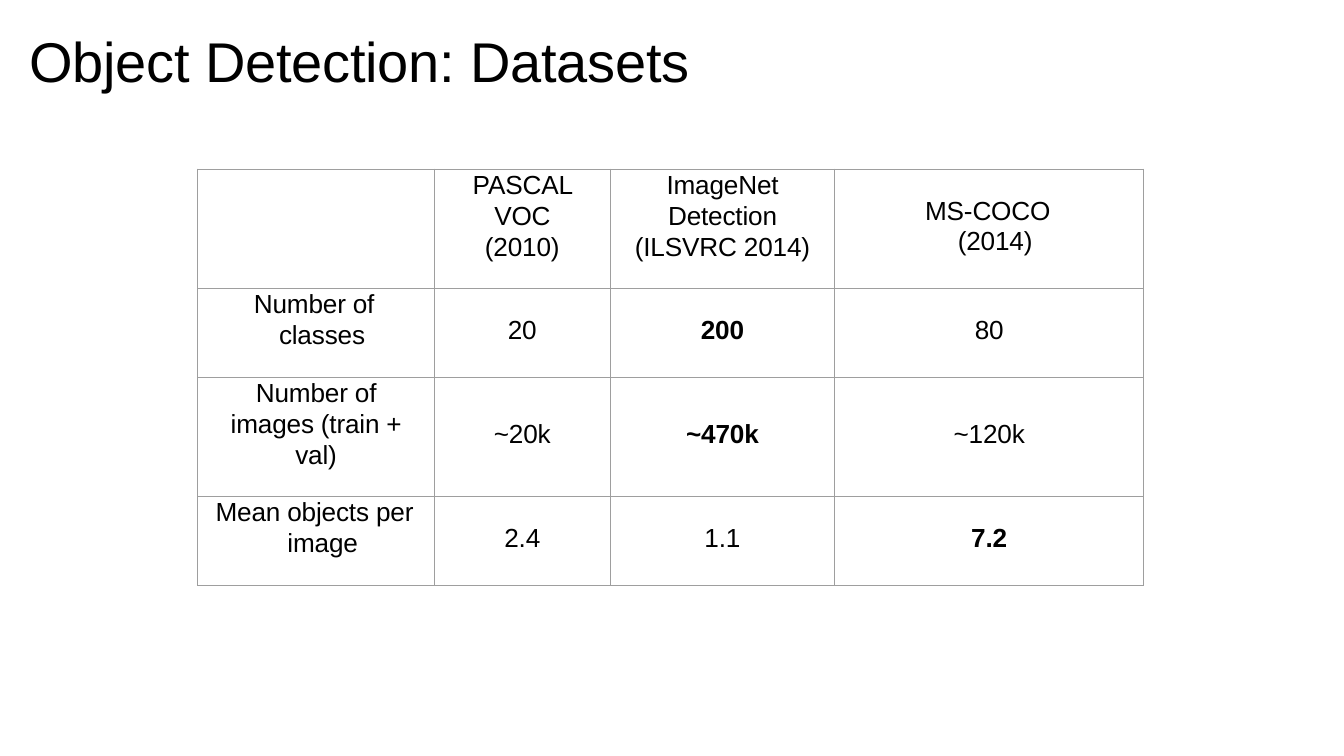
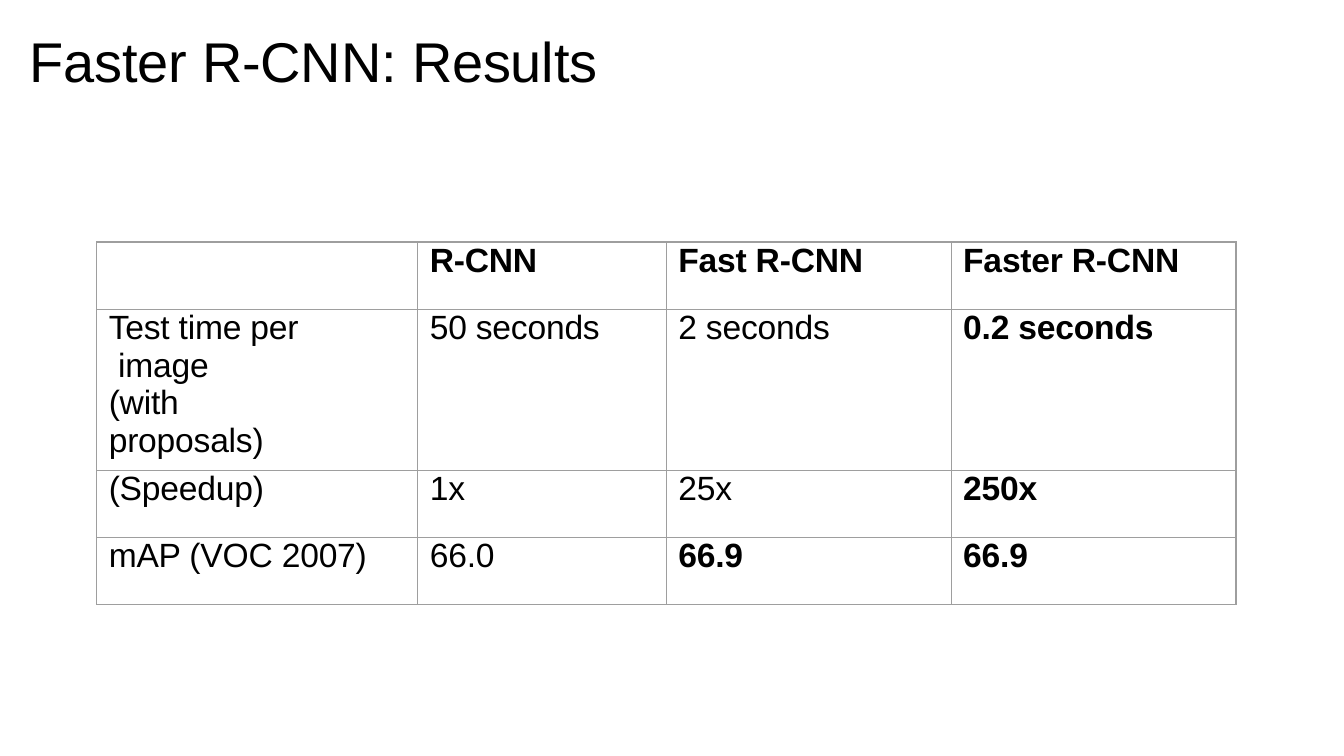
from lxml import etree
from pptx import Presentation
from pptx.dml.color import RGBColor
from pptx.enum import text
from pptx.oxml import ns
from pptx.util import Pt

BLACK = RGBColor(0x00, 0x00, 0x00)
GRID = RGBColor(0x9E, 0x9E, 0x9E)
FONT = "Arial"
TITLE_BOX = (15, 11, 690, 73)
LEFT, CENTER = text.PP_ALIGN.LEFT, text.PP_ALIGN.CENTER
TOP, MIDDLE = text.MSO_ANCHOR.TOP, text.MSO_ANCHOR.MIDDLE

DATASETS = [
    ["", "PASCAL VOC (2010)", "ImageNet Detection (ILSVRC 2014)", "MS-COCO (2014)"],
    ["Number of classes", "20", "200", "80"],
    ["Number of images (train + val)", "~20k", "~470k", "~120k"],
    ["Mean objects per image", "2.4", "1.1", "7.2"],
]
DATASET_STYLE = dict(size=14, align=CENTER, anchor=MIDDLE, bottom=3.5, spacing=16.5)
DATASET_CELLS = {
    (0, 1): dict(anchor=TOP, left=19, right=19),
    (0, 2): dict(anchor=TOP, left=10, right=10),
    (0, 3): dict(align=LEFT, left=48.5, right=48, hang=17.5),
    (1, 0): dict(align=LEFT, anchor=TOP, left=30, hang=13.5),
    (2, 0): dict(anchor=TOP, left=14, right=14),
    (3, 0): dict(align=LEFT, anchor=TOP, left=9.5, hang=38.5),
    (1, 2): dict(bold=True),
    (2, 2): dict(bold=True),
    (3, 3): dict(bold=True),
}

RESULTS = [
    ["", "R-CNN", "Fast R-CNN", "Faster R-CNN"],
    ["Test time per image\n(with proposals)", "50 seconds", "2 seconds", "0.2 seconds"],
    ["(Speedup)", "1x", "25x", "250x"],
    ["mAP (VOC 2007)", "66.0", "66.9", "66.9"],
]
RESULT_STYLE = dict(size=18, left=6.5, bottom=5.7)
RESULT_BOLD = [(0, 1), (0, 2), (0, 3), (1, 3), (2, 3), (3, 2), (3, 3)]
RESULT_CELLS = {(1, 0): dict(right=52, hang=5)}
RESULT_CELLS.update({spot: dict(bold=True) for spot in RESULT_BOLD})


def set_all(obj, values):
    """Set the attributes of an object from a dict."""
    for name, value in values.items():
        setattr(obj, name, value)


def write(p, words, size, bold=False):
    """Add one formatted run to a paragraph."""
    r = p.add_run()
    r.text = words
    set_all(r.font, dict(name=FONT, size=Pt(size), bold=bold))
    r.font.color.rgb = BLACK
    r._r.get_or_add_rPr().set("spc", "-10")


def add_borders(cell):
    """Draw a thin grey line on each side of a cell."""
    tcPr = cell._tc.get_or_add_tcPr()
    for i, side in enumerate(("lnL", "lnR", "lnT", "lnB")):
        ln = etree.Element(ns.qn(f"a:{side}"), w=str(Pt(0.75)))
        fill = etree.SubElement(ln, ns.qn("a:solidFill"))
        etree.SubElement(fill, ns.qn("a:srgbClr"), val=str(GRID))
        tcPr.insert(i, ln)


def fill_cell(cell, words, size, align=LEFT, anchor=TOP, left=0, right=0,
              bottom=0, spacing=None, hang=0, bold=False):
    """Write and format one table cell."""
    set_all(cell, dict(margin_left=Pt(left), margin_right=Pt(right), margin_top=0,
                       margin_bottom=Pt(bottom), vertical_anchor=anchor))
    cell.fill.background()
    add_borders(cell)
    tf = cell.text_frame
    for i, line in enumerate(words.split("\n") if words else []):
        p = tf.add_paragraph() if i else tf.paragraphs[0]
        p.alignment = align
        if spacing:
            p.line_spacing = Pt(spacing)
        if hang and not i:
            pPr = p._p.get_or_add_pPr()
            pPr.set("marL", str(Pt(hang)))
            pPr.set("indent", str(-Pt(hang)))
        write(p, line, size, bold)


def add_grid(s, x, y, widths, heights, rows, style, special):
    """Place a ruled table with its top left corner at x, y."""
    frame = s.shapes.add_table(len(heights), len(widths), Pt(x), Pt(y),
                               Pt(sum(widths)), Pt(sum(heights)))
    table = frame.table
    set_all(table, dict(first_row=False, horz_banding=False))
    for column, width in zip(table.columns, widths):
        column.width = Pt(width)
    for row, height in zip(table.rows, heights):
        row.height = Pt(height)
    for i, row in enumerate(rows):
        for j, words in enumerate(row):
            fill_cell(table.cell(i, j), words, **{**style, **special.get((i, j), {})})


def add_titled_slide(prs, title):
    """Add a slide with the shared title style."""
    s = prs.slides.add_slide(prs.slide_layouts[5])
    sp = s.shapes.title
    set_all(sp, dict(zip(("left", "top", "width", "height"), map(Pt, TITLE_BOX))))
    tf = sp.text_frame
    set_all(tf, dict(margin_left=Pt(0.7), margin_right=0, margin_top=Pt(3), margin_bottom=0,
                     word_wrap=True, vertical_anchor=TOP, auto_size=text.MSO_AUTO_SIZE.NONE))
    tf.paragraphs[0].alignment = LEFT
    write(tf.paragraphs[0], title, 30)
    return s


def main():
    """Build the two slides and save them."""
    prs = Presentation()
    set_all(prs, dict(slide_width=Pt(720), slide_height=Pt(405)))
    s = add_titled_slide(prs, "Object Detection: Datasets")
    add_grid(s, 106, 90.7, [126.7, 94.3, 120.2, 165.6], [64, 47.5] * 2,
             DATASETS, DATASET_STYLE, DATASET_CELLS)
    s = add_titled_slide(prs, "Faster R-CNN: Results")
    add_grid(s, 51.8, 129.6, [172, 133.2, 152.6, 152.6], [36, 80, 36, 36],
             RESULTS, RESULT_STYLE, RESULT_CELLS)
    prs.save("out.pptx")


if __name__ == "__main__":
    main()
